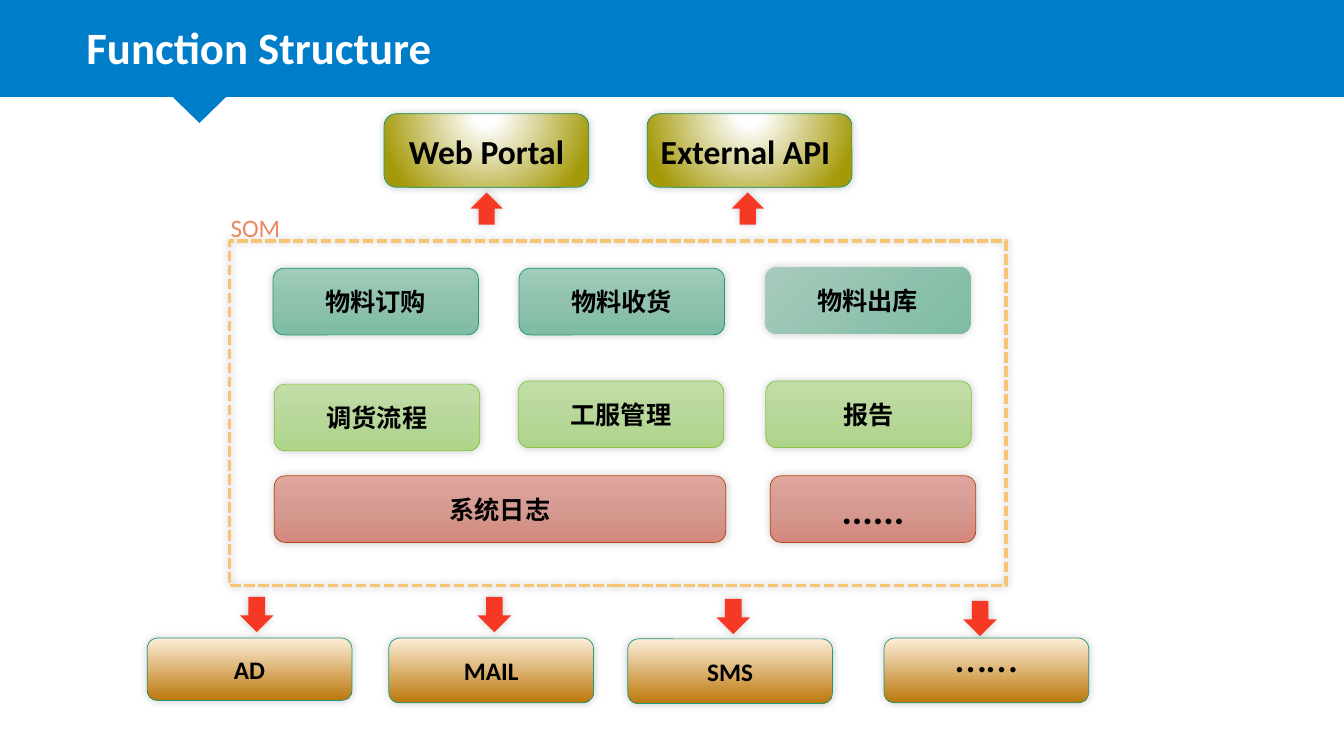
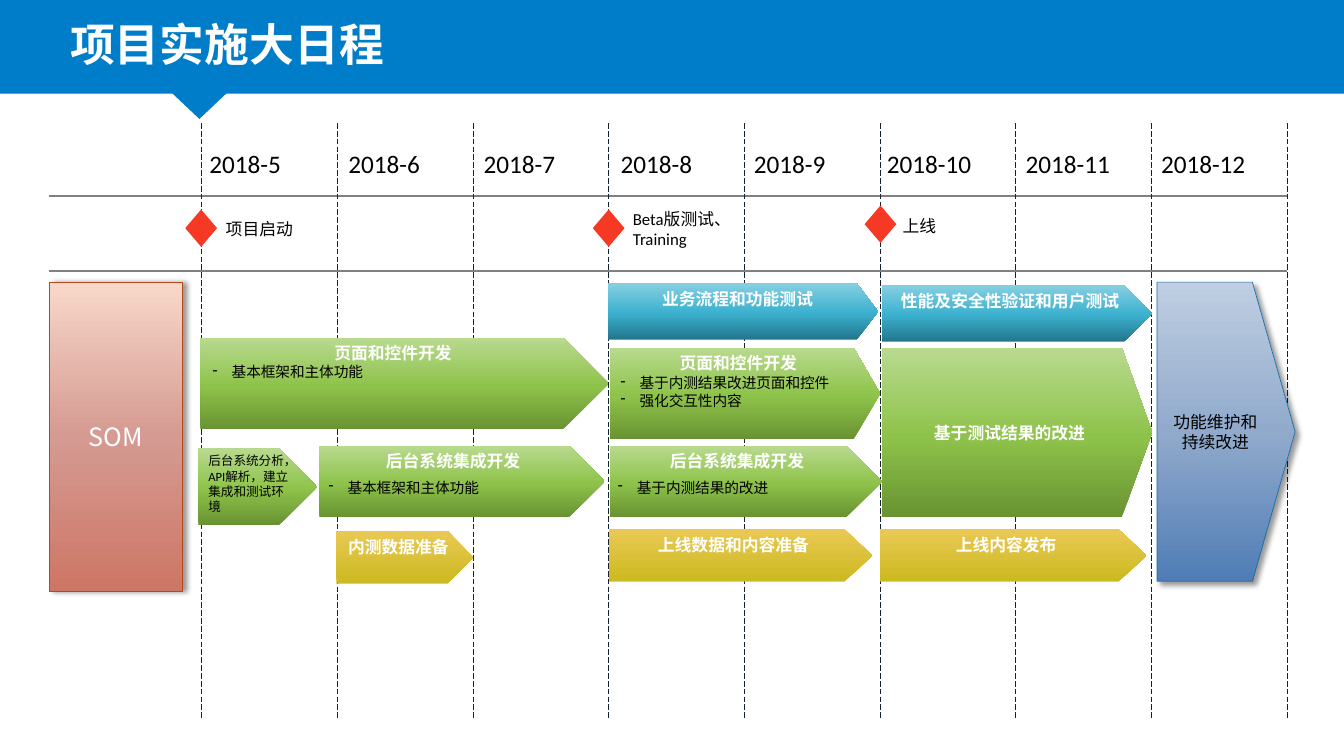
from dataclasses import dataclass
from typing import Optional

from lxml.etree import SubElement
from pptx import Presentation
from pptx.dml.color import RGBColor
from pptx.enum.dml import MSO_LINE
from pptx.enum.shapes import MSO_CONNECTOR, MSO_SHAPE
from pptx.enum.text import MSO_ANCHOR, PP_ALIGN
from pptx.oxml.ns import qn
from pptx.util import Cm, Pt

LATIN = "Calibri"
CJK = "Noto Sans CJK SC"

COLORS = {
    "band": "007DC8", "white": "FFFFFF", "black": "000000", "red": "F63925",
    "frame": "F7C475", "label": "E98960", "rule": "808080", "month": "14232F",
    "teal_line": "1D9A78", "lime_line": "8BC145", "rust_line": "B74919", "navy_line": "1D6FA9",
    "teal_top": "9ECDBA", "teal_mid": "91C2AE", "teal_end": "7DBCA3", "teal_pale": "A8CABC",
    "lime_top": "C2DEA8", "lime_mid": "B8D79B", "lime_end": "AED588",
    "rose_top": "E0A69E", "rose_mid": "D59A91", "rose_end": "D4887C",
    "cream": "FCEED8", "amber": "BC770B", "olive": "A49908",
    "peach": "F8D8CA", "brick": "CD7665",
    "green_dark": "699331", "green": "8EC34B", "green_pale": "B9DA8F",
    "gold": "CDB921", "gold_pale": "E9C954",
    "cyan_dark": "22768C", "cyan": "3CB1CF", "cyan_pale": "86CFE2",
    "sky": "BFCEE2", "steel": "91AACC", "navy": "4F7DB5",
}


@dataclass(frozen=True)
class Gradient:
    stops: tuple[tuple[int, str], ...]
    angle: Optional[int] = 90


@dataclass(frozen=True)
class Shadow:
    alpha: int
    blur: float
    distance: float
    direction: int


@dataclass(frozen=True)
class Font:
    size: float
    color: str = "black"
    bold: bool = False
    latin: str = LATIN


@dataclass(frozen=True)
class Style:
    fill: Optional[Gradient | str]
    line: Optional[str] = None
    shadow: Optional[Shadow] = None
    font: Font = Font(18, bold=True)
    anchor: MSO_ANCHOR = MSO_ANCHOR.MIDDLE
    align: PP_ALIGN = PP_ALIGN.CENTER
    line_width: float = 0.5


@dataclass(frozen=True)
class Area:
    left: float
    top: float
    width: float
    height: float


@dataclass(frozen=True)
class Task:
    area: Area
    text: str
    style: Style
    point: float = 0.5


@dataclass(frozen=True)
class Milestone:
    left: float
    top: float
    text: str
    text_left: float
    text_top: float


GLOW = Shadow(20, 6, 0, 315)
TEAL = Gradient(((0, "teal_top"), (50, "teal_mid"), (100, "teal_end")))
LIME = Gradient(((0, "lime_top"), (50, "lime_mid"), (100, "lime_end")))
ROSE = Gradient(((0, "rose_top"), (50, "rose_mid"), (100, "rose_end")))
AMBER = Gradient(((0, "cream"), (100, "amber")))
OLIVE = Gradient(((11, "white"), (100, "olive")), None)
GREEN = Gradient(((0, "green_dark"), (48, "green"), (100, "green_pale")), 270)
GOLD = Gradient(((3, "gold"), (100, "gold_pale")), 270)
CYAN = Gradient(((0, "cyan_dark"), (48, "cyan"), (100, "cyan_pale")), 270)

ORDER = Style(TEAL, "teal_line", GLOW)
OUTBOUND = Style(Gradient(((0, "teal_pale"), (100, "teal_end")), 45), None, GLOW)
OPERATION = Style(LIME, "lime_line", GLOW)
LOGGING = Style(ROSE, "rust_line", GLOW)
MORE_LOGGING = Style(ROSE, "rust_line", GLOW, Font(28, bold=True))
SERVICE = Style(AMBER, "teal_line", GLOW)
MORE_SERVICES = Style(AMBER, "teal_line", GLOW, Font(32))
PORTAL = Style(OLIVE, "teal_line", GLOW, Font(24, bold=True))
API = Style(OLIVE, "teal_line", GLOW, Font(24, bold=True), align=PP_ALIGN.LEFT)
FLOW = Style("red", None, GLOW)

TASK_FONT = Font(12, "white", True)
DEVELOP = Style(GREEN, font=TASK_FONT, anchor=MSO_ANCHOR.TOP)
IMPROVE = Style(GREEN, font=TASK_FONT)
ANALYSE = Style(GREEN, font=Font(9), anchor=MSO_ANCHOR.TOP, align=PP_ALIGN.LEFT)
PREPARE = Style(GOLD, font=TASK_FONT, anchor=MSO_ANCHOR.TOP)
TEST = Style(CYAN, font=TASK_FONT, anchor=MSO_ANCHOR.TOP)
MAINTAIN = Style(Gradient(((0, "sky"), (50, "steel"), (100, "navy"))), "navy_line",
                 Shadow(40, 4, 3, 45), Font(12))
SYSTEM = Style(Gradient(((0, "peach"), (50, "rose_mid"), (100, "brick"))), "rust_line",
               Shadow(40, 4, 3, 0), Font(18, "white", latin=CJK))


def rgb(color: str) -> RGBColor:
    return RGBColor.from_string(COLORS[color])


def add_gradient(shape, gradient: Gradient) -> None:
    shape.fill.gradient()
    fill = shape._element.spPr.find(qn("a:gradFill"))
    for child in list(fill):
        fill.remove(child)
    stops = SubElement(fill, qn("a:gsLst"))
    for position, color in gradient.stops:
        stop = SubElement(stops, qn("a:gs"), pos=str(position * 1000))
        SubElement(stop, qn("a:srgbClr"), val=COLORS[color])
    if gradient.angle is None:
        circle = SubElement(fill, qn("a:path"), path="circle")
        SubElement(circle, qn("a:fillToRect"), l="50000", t="-80000", r="50000", b="180000")
    else:
        SubElement(fill, qn("a:lin"), ang=str(gradient.angle * 60000), scaled="0")


def add_shadow(shape, shadow: Shadow) -> None:
    effects = shape._element.spPr.find(qn("a:effectLst"))
    outer = SubElement(effects, qn("a:outerShdw"), blurRad=str(Pt(shadow.blur)),
                       dist=str(Pt(shadow.distance)), dir=str(shadow.direction * 60000),
                       algn="ctr", rotWithShape="0")
    color = SubElement(outer, qn("a:srgbClr"), val=COLORS["black"])
    SubElement(color, qn("a:alpha"), val=str(shadow.alpha * 1000))


def write(frame, lines: tuple[str, ...], font: Font,
          align: PP_ALIGN = PP_ALIGN.LEFT, bulleted: bool = False) -> None:
    frame.word_wrap = True
    for index, line in enumerate(lines):
        paragraph = frame.paragraphs[0] if index == 0 else frame.add_paragraph()
        paragraph.text = line
        paragraph.alignment = align
        paragraph.font.name = font.latin
        paragraph.font.size = Pt(font.size)
        paragraph.font.bold = font.bold
        paragraph.font.color.rgb = rgb(font.color)
        properties = paragraph._p.get_or_add_pPr()
        SubElement(properties.find(qn("a:defRPr")), qn("a:ea"), typeface=CJK)
        if bulleted:
            properties.set("marL", str(Cm(0.48)))
            properties.set("indent", str(Cm(-0.48)))
            bullet = SubElement(properties, qn("a:buChar"), char="-")
            properties.insert(0, bullet)


def add_text(slide, area: Area, lines: tuple[str, ...], font: Font, bulleted: bool = False) -> None:
    box = slide.shapes.add_textbox(Cm(area.left), Cm(area.top), Cm(area.width), Cm(area.height))
    write(box.text_frame, lines, font, bulleted=bulleted)


def add_block(slide, preset: MSO_SHAPE, area: Area, style: Style, text: str = ""):
    block = slide.shapes.add_shape(preset, Cm(area.left), Cm(area.top), Cm(area.width), Cm(area.height))
    block.shadow.inherit = False
    if isinstance(style.fill, Gradient):
        add_gradient(block, style.fill)
    elif style.fill:
        block.fill.solid()
        block.fill.fore_color.rgb = rgb(style.fill)
    else:
        block.fill.background()
    if style.line:
        block.line.color.rgb = rgb(style.line)
        block.line.width = Pt(style.line_width)
    else:
        block.line.fill.background()
    if style.shadow:
        add_shadow(block, style.shadow)
    if text:
        block.text_frame.vertical_anchor = style.anchor
        write(block.text_frame, (text,), style.font, style.align)
    return block


def add_rule(slide, start: tuple[float, float], end: tuple[float, float], color: str,
             width: float, dash: Optional[MSO_LINE] = None) -> None:
    rule = slide.shapes.add_connector(MSO_CONNECTOR.STRAIGHT, *map(Cm, start + end))
    rule.line.color.rgb = rgb(color)
    rule.line.width = Pt(width)
    if dash:
        rule.line.dash_style = dash
    SubElement(rule._element.spPr, qn("a:effectLst"))


def add_header(slide, title: str, left: float, top: float, height: float) -> None:
    band = Style("band")
    add_block(slide, MSO_SHAPE.RECTANGLE, Area(0, 0, 33.87, height), band)
    pointer = add_block(slide, MSO_SHAPE.ISOSCELES_TRIANGLE,
                        Area(3.45, height * 0.64, 3.15, height * 0.63), band)
    pointer.rotation = 180
    add_text(slide, Area(left, top, 15, 1.63), (title,), Font(32, "white", True))


def build_structure(slide) -> None:
    add_header(slide, "Function Structure", 1.93, 0.38, 2.44)
    frame = add_block(slide, MSO_SHAPE.RECTANGLE, Area(5.79, 6.07, 19.56, 8.69),
                      Style(None, "frame", Shadow(26, 6, 0, 315), line_width=2.5))
    frame.line.dash_style = MSO_LINE.SQUARE_DOT
    add_text(slide, Area(5.56, 5.23, 3, 1.02), ("SOM",), Font(18, "label"))

    modules = (
        (6.88, 6.76, 5.18, "物料订购", ORDER),
        (13.08, 6.76, 5.18, "物料收货", ORDER),
        (19.28, 6.73, 5.18, "物料出库", OUTBOUND),
        (6.91, 9.68, 5.18, "调货流程", OPERATION),
        (13.06, 9.6, 5.18, "工服管理", OPERATION),
        (19.3, 9.6, 5.18, "报告", OPERATION),
        (6.91, 11.99, 11.38, "系统日志", LOGGING),
        (19.41, 11.99, 5.18, "......", MORE_LOGGING),
    )
    for left, top, width, text, style in modules:
        add_block(slide, MSO_SHAPE.ROUNDED_RECTANGLE, Area(left, top, width, 1.68), style, text)

    for left, text, style in ((9.68, "Web Portal", PORTAL), (16.31, "External API", API)):
        add_block(slide, MSO_SHAPE.ROUNDED_RECTANGLE, Area(left, 2.87, 5.16, 1.85), style, text)
    for left in (11.86, 18.44):
        add_block(slide, MSO_SHAPE.UP_ARROW, Area(left, 4.85, 0.81, 0.81), FLOW)

    services = (
        (3.71, 16.08, 1.57, "AD", SERVICE),
        (9.8, 16.08, 1.63, "MAIL", SERVICE),
        (15.82, 16.1, 1.63, "SMS", SERVICE),
        (22.28, 16.08, 1.63, "……", MORE_SERVICES),
    )
    for left, top, height, text, style in services:
        service = add_block(slide, MSO_SHAPE.ROUNDED_RECTANGLE, Area(left, top, 5.16, height), style, text)
        if style is MORE_SERVICES:
            service.text_frame.margin_bottom = Cm(0.91)
    for left, top in ((6.05, 15.04), (12.04, 15.04), (18.06, 15.09), (24.28, 15.14)):
        add_block(slide, MSO_SHAPE.DOWN_ARROW, Area(left, top, 0.84, 0.89), FLOW)


def build_schedule(slide) -> None:
    add_header(slide, "项目实施大日程", 1.52, 0.3, 2.36)
    for top in (4.93, 6.83):
        add_rule(slide, (1.24, top), (32.44, top), "rule", 1.5)
    for column in range(9):
        left = 5.08 + 3.42 * column
        add_rule(slide, (left, 3.1), (left, 18.11), "month", 0.5, MSO_LINE.LONG_DASH)
    for month, left in enumerate((5.03, 8.53, 11.94, 15.39, 18.75, 22.1, 25.6, 29.01), start=5):
        add_text(slide, Area(left, 3.61, 3.2, 1.02), (f"2018-{month}",), Font(18))

    milestones = (
        Milestone(4.67, 5.28, "项目启动", 5.44, 5.38),
        Milestone(14.94, 5.28, "Beta版测试、Training", 15.7, 5.13),
        Milestone(21.79, 5.18, "上线", 22.5, 5.31),
    )
    for item in milestones:
        add_block(slide, MSO_SHAPE.FLOWCHART_DECISION, Area(item.left, item.top, 0.8, 0.94), Style("red"))
        add_text(slide, Area(item.text_left, item.text_top, 3.6, 0.76), (item.text,), Font(12))

    add_block(slide, MSO_SHAPE.RECTANGLE, Area(1.24, 7.11, 3.35, 7.8), SYSTEM, "SOM")
    tasks = (
        Task(Area(5.05, 8.51, 10.29, 2.31), "页面和控件开发", DEVELOP),
        Task(Area(8.05, 11.23, 7.19, 1.8), "后台系统集成开发", DEVELOP),
        Task(Area(8.48, 13.39, 3.45, 1.32), "内测数据准备", PREPARE, 0.49),
        Task(Area(15.34, 13.34, 6.65, 1.32), "上线数据和内容准备", PREPARE, 0.54),
        Task(Area(29.16, 7.11, 3.48, 7.54), "功能维护和持续改进", MAINTAIN, 0.31),
        Task(Area(15.37, 8.76, 6.81, 2.31), "页面和控件开发", DEVELOP, 0.29),
        Task(Area(15.37, 11.23, 6.86, 1.8), "后台系统集成开发", DEVELOP),
        Task(Area(22.23, 7.19, 6.81, 1.42), "性能及安全性验证和用户测试", TEST),
        Task(Area(22.23, 8.76, 6.81, 4.27), "基于测试结果的改进", IMPROVE, 0.18),
        Task(Area(22.17, 13.34, 6.73, 1.32), "上线内容发布", PREPARE, 0.54),
        Task(Area(15.32, 7.14, 6.81, 1.42), "业务流程和功能测试", TEST, 0.38),
        Task(Area(5, 11.3, 3, 1.93), "后台系统分析，API解析，建立集成和测试环境", ANALYSE),
    )
    for task in tasks:
        arrow = add_block(slide, MSO_SHAPE.PENTAGON, task.area, task.style, task.text)
        arrow.adjustments[0] = task.point

    details = (
        (5.11, 9.02, ("基本框架和主体功能",)),
        (8.03, 11.94, ("基本框架和主体功能",)),
        (15.39, 9.3, ("基于内测结果改进页面和控件", "强化交互性内容")),
        (15.32, 11.94, ("基于内测结果的改进",)),
    )
    for left, top, lines in details:
        add_text(slide, Area(left, top, 6.2, 0.71), lines, Font(10.5), bulleted=True)


def main() -> None:
    deck = Presentation()
    deck.slide_width, deck.slide_height = Cm(33.87), Cm(19.05)
    for build in (build_structure, build_schedule):
        build(deck.slides.add_slide(deck.slide_layouts[6]))
    deck.save("out.pptx")


if __name__ == "__main__":
    main()
